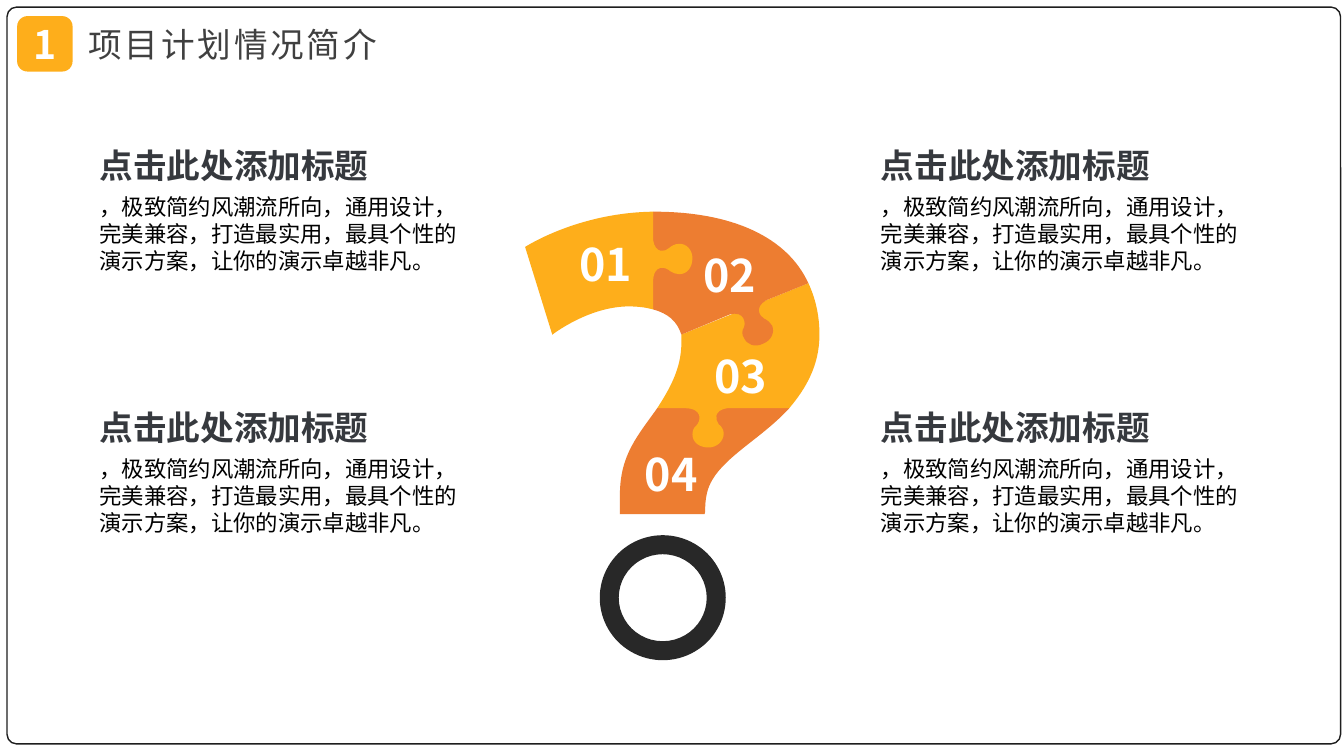
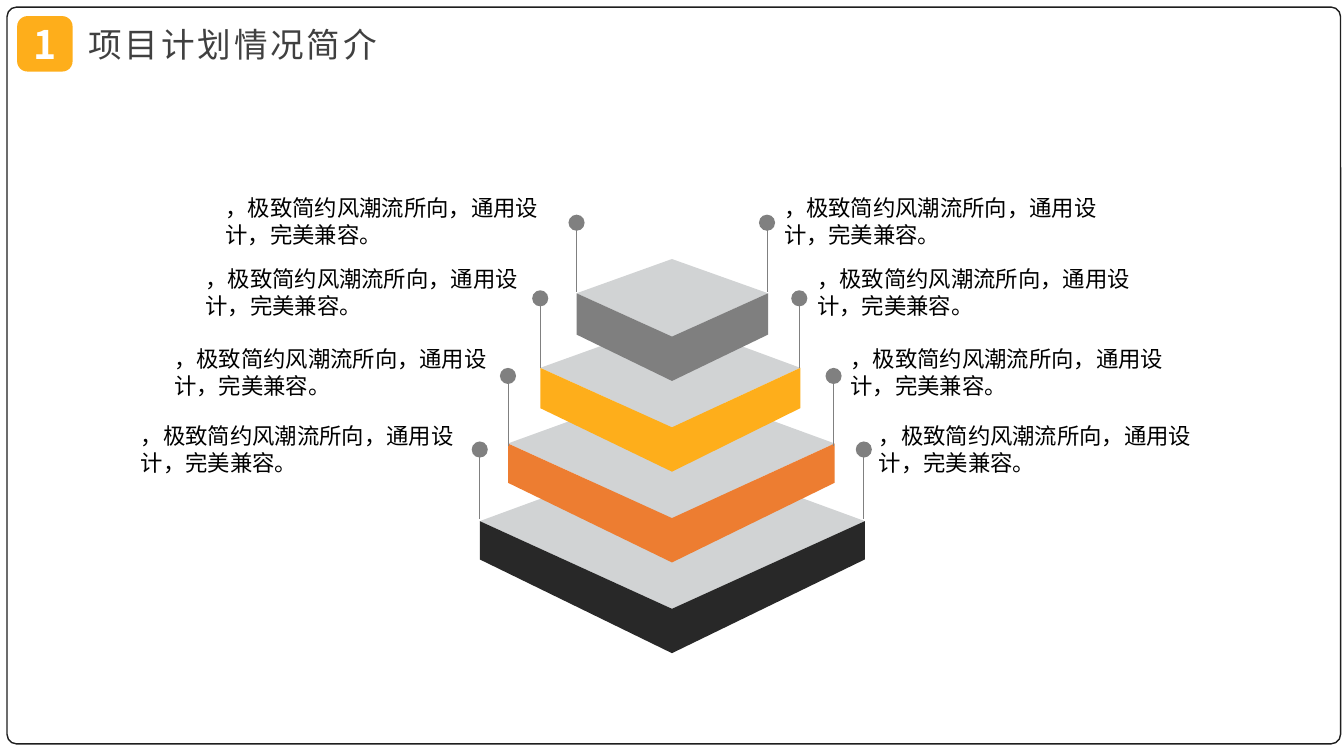
from dataclasses import dataclass
from typing import Any

import pptx
import pptx.dml.color
import pptx.enum.shapes
import pptx.enum.text
import pptx.oxml
import pptx.oxml.ns
import pptx.util
from pptx.util import Inches

COLORS = {
    "amber": "FEAE1B", "orange": "ED7D31", "black": "000000", "ink": "282828",
    "frame": "1E1E1E", "title": "404040", "heading": "36393E", "white": "FFFFFF",
    "top": "D1D3D4", "grey": "7F7F7F", "pin": "808080",
}
FONT = "Noto Sans CJK SC"
HEADING_FONT = "League Spartan"
SHAPE = pptx.enum.shapes.MSO_SHAPE
ALIGN = pptx.enum.text.PP_ALIGN
SLIDE_WIDTH, SLIDE_HEIGHT = 40 / 3, 7.5

HEADING = "点击此处添加标题"
BODY = "，极致简约风潮流所向，通用设计，完美兼容，打造最实用，最具个性的演示方案，让你的演示卓越非凡。"
SHORT_BODY = "，极致简约风潮流所向，通用设计，完美兼容。"

Point = tuple[float, float]
Segment = tuple[float, ...]


@dataclass(frozen=True)
class TextStyle:
    size: float
    color: str
    bold: bool = False
    font: str = FONT
    tracking: float = 0


@dataclass(frozen=True)
class PuzzlePiece:
    """Segments hold one point (line) or three points (curve), flattened."""
    number: str
    label_at: Point
    color: str
    start: Point
    segments: list[Segment]


@dataclass(frozen=True)
class Tier:
    color: str
    left: float
    right: float
    back: float
    middle: float
    front: float
    side_height: float
    pin_y: float
    text_lefts: Point
    text_top: float


BADGE_STYLE = TextStyle(28, "white", bold=True)
TITLE_STYLE = TextStyle(24, "title", tracking=2)
HEADING_STYLE = TextStyle(24, "heading", bold=True, font=HEADING_FONT)
BODY_STYLE = TextStyle(16, "black")
NUMBER_STYLE = TextStyle(32, "white", bold=True)

PIECES = [
    PuzzlePiece("04", (6.3, 4.38), "orange", (6.52, 4.05), [
        (6.33, 4.32, 6.15, 4.51, 6.15, 4.91), (6.15, 5.1), (6.99, 5.1),
        (7, 5.1, 6.99, 5, 7.01, 4.91), (7.07, 4.58, 7.52, 4.39, 7.83, 4.05),
    ]),
    PuzzlePiece("03", (6.99, 3.41), "amber", (8.13, 3.32), [
        (8.13, 3.13, 8.09, 2.96, 8.02, 2.81), (6.76, 3.32), (6.76, 3.4),
        (6.76, 3.65, 6.65, 3.85, 6.52, 4.05), (6.79, 4.05),
        (6.98, 4.05, 6.95, 4.18, 6.91, 4.22),
        (6.88, 4.24, 6.87, 4.28, 6.87, 4.31),
        (6.87, 4.39, 6.94, 4.44, 7.03, 4.44),
        (7.11, 4.44, 7.18, 4.38, 7.18, 4.3),
        (7.18, 4.27, 7.16, 4.23, 7.13, 4.21),
        (7.1, 4.17, 7.07, 4.07, 7.22, 4.05), (7.83, 4.05),
        (8, 3.85, 8.13, 3.62, 8.13, 3.32),
    ]),
    PuzzlePiece("02", (6.88, 2.41), "orange", (7.58, 3.16), [
        (7.54, 3.14, 7.48, 3.05, 7.6, 2.98), (8.02, 2.81),
        (7.81, 2.35, 7.26, 2.1, 6.49, 2.1), (6.48, 2.1), (6.48, 3.07),
        (6.63, 3.11, 6.72, 3.19, 6.76, 3.32), (7.24, 3.12),
        (7.39, 3.08, 7.4, 3.21, 7.38, 3.25),
        (7.36, 3.28, 7.36, 3.32, 7.38, 3.35),
        (7.41, 3.42, 7.49, 3.45, 7.57, 3.41),
        (7.65, 3.38, 7.69, 3.3, 7.66, 3.23),
        (7.64, 3.2, 7.62, 3.18, 7.58, 3.16),
    ]),
    PuzzlePiece("01", (5.65, 2.3), "amber", (6.73, 2.42), [
        (6.7, 2.42, 6.66, 2.44, 6.64, 2.46),
        (6.6, 2.5, 6.5, 2.52, 6.48, 2.38), (6.48, 2.1),
        (5.73, 2.11, 5.21, 2.45, 5.21, 2.45), (5.48, 3.32),
        (5.48, 3.32, 5.84, 3.04, 6.24, 3.04),
        (6.33, 3.04, 6.41, 3.05, 6.48, 3.07), (6.48, 2.8),
        (6.48, 2.61, 6.61, 2.65, 6.65, 2.69),
        (6.68, 2.71, 6.71, 2.72, 6.74, 2.72),
        (6.82, 2.72, 6.87, 2.65, 6.87, 2.56),
        (6.87, 2.48, 6.81, 2.41, 6.73, 2.42),
    ]),
]

TIERS = [
    Tier("ink", 4.76, 8.58, 4.47, 5.17, 6.04, 0.38, 4.46, (1.3, 8.62), 4.14),
    Tier("orange", 5.04, 8.28, 3.81, 4.4, 5.14, 0.39, 3.73, (1.63, 8.34), 3.38),
    Tier("amber", 5.36, 7.94, 3.18, 3.65, 4.24, 0.4, 2.96, (1.94, 8.01), 2.58),
    Tier("grey", 5.72, 7.62, 2.57, 2.91, 3.34, 0.41, 2.21, (2.14, 7.68), 1.88),
]
TIER_CENTER = SLIDE_WIDTH / 2
FRONT_HEIGHT = 0.44
PIN_SIZE = 0.16


# Shared drawing helpers
def rgb(name: str) -> pptx.dml.color.RGBColor:
    return pptx.dml.color.RGBColor.from_string(COLORS[name])


def paint(shape: Any, fill: str | None, line: str | None = None) -> None:
    shape.shadow.inherit = False
    if fill:
        shape.fill.solid()
        shape.fill.fore_color.rgb = rgb(fill)
    else:
        shape.fill.background()
    if line:
        shape.line.color.rgb = rgb(line)
        shape.line.width = pptx.util.Pt(1)
    else:
        shape.line.fill.background()


def write(shape: Any, text: str, style: TextStyle, align: Any = ALIGN.LEFT) -> None:
    para = shape.text_frame.paragraphs[0]
    para.alignment = align
    span = para.add_run()
    span.text = text
    span.font.size = pptx.util.Pt(style.size)
    span.font.bold = style.bold
    span.font.color.rgb = rgb(style.color)
    span.font.name = style.font
    properties = span._r.get_or_add_rPr()
    properties.append(pptx.oxml.parse_xml(
        f'<a:ea {pptx.oxml.ns.nsdecls("a")} typeface="{style.font}"/>'))
    if style.tracking:
        properties.set("spc", str(int(style.tracking * 100)))


def add_preset(page: Any, kind: Any, left: float, top: float, width: float,
               height: float, fill: str | None, line: str | None = None,
               adjust: float | None = None) -> Any:
    shape = page.shapes.add_shape(
        kind, Inches(left), Inches(top), Inches(width), Inches(height))
    if adjust is not None:
        shape.adjustments[0] = adjust
    paint(shape, fill, line)
    return shape


def add_text(page: Any, left: float, top: float, width: float, height: float,
             text: str, style: TextStyle, wrap: bool = True) -> None:
    box = page.shapes.add_textbox(
        Inches(left), Inches(top), Inches(width), Inches(height))
    box.text_frame.word_wrap = wrap
    write(box, text, style)


def add_outline(page: Any, start: Point, segments: list[Segment], fill: str) -> None:
    """Draw a closed outline of lines and cubic curves."""
    builder = page.shapes.build_freeform(Inches(start[0]), Inches(start[1]))
    builder.add_line_segments(
        [(Inches(part[-2]), Inches(part[-1])) for part in segments], close=True)
    shape = builder.convert_to_shape()
    sides = list(shape._element.iter(pptx.oxml.ns.qn("a:lnTo")))
    for side, part in zip(sides, segments):
        if len(part) == 6:
            points = "".join(
                f'<a:pt x="{Inches(x) - shape.left}" y="{Inches(y) - shape.top}"/>'
                for x, y in zip(part[::2], part[1::2]))
            curve = pptx.oxml.parse_xml(
                f'<a:cubicBezTo {pptx.oxml.ns.nsdecls("a")}>{points}</a:cubicBezTo>')
            side.getparent().replace(side, curve)
    paint(shape, fill)


def add_page(deck: Any) -> Any:
    """Blank page with the number badge, title and outer frame."""
    page = deck.slides.add_slide(deck.slide_layouts[6])
    badge = add_preset(page, SHAPE.ROUNDED_RECTANGLE, 0.17, 0.16, 0.55, 0.55,
                       "amber", adjust=0.186)
    frame = badge.text_frame
    frame.margin_left = frame.margin_right = frame.margin_top = frame.margin_bottom = 0
    write(badge, "1", BADGE_STYLE, ALIGN.CENTER)
    title = add_preset(page, SHAPE.ROUNDED_RECTANGLE, 0.73, 0.16, 3.16, 0.55,
                       None, adjust=0.091)
    write(title, "项目计划情况简介", TITLE_STYLE, ALIGN.CENTER)
    add_preset(page, SHAPE.ROUNDED_RECTANGLE, 0.07, 0.07, 13.23, 7.31,
               None, "frame", 0.013)
    return page


# Slide 1: puzzle question mark
def add_question_page(deck: Any) -> None:
    page = add_page(deck)
    for piece in PIECES:
        add_outline(page, piece.start, piece.segments, piece.color)
    add_preset(page, SHAPE.DONUT, 5.95, 5.31, 1.25, 1.24, "ink", adjust=0.152)
    for piece in reversed(PIECES):
        add_text(page, *piece.label_at, 0.76, 0.64, piece.number, NUMBER_STYLE, wrap=False)
    for left in (8.64, 0.89):
        for top in (1.39, 3.99):
            add_text(page, left, top + 0.48, 3.79, 0.91, BODY, BODY_STYLE)
            add_text(page, left, top, 2.89, 0.5, HEADING, HEADING_STYLE, wrap=False)


# Slide 2: stacked tiers with pins
def add_pin(page: Any, x: float, y: float) -> None:
    stem = page.shapes.add_connector(
        pptx.enum.shapes.MSO_CONNECTOR.STRAIGHT,
        Inches(x), Inches(y + 0.04), Inches(x), Inches(y + 0.69))
    stem.line.color.rgb = rgb("pin")
    stem.line.width = pptx.util.Pt(0.5)
    stem._element.spPr.append(pptx.oxml.parse_xml(
        f'<a:effectLst {pptx.oxml.ns.nsdecls("a")}/>'))
    add_preset(page, SHAPE.OVAL, x - PIN_SIZE / 2, y - PIN_SIZE / 2,
               PIN_SIZE, PIN_SIZE, "pin")


def add_tier(page: Any, tier: Tier) -> None:
    front = (TIER_CENTER, tier.front)
    add_outline(page, (tier.left, tier.middle), [
        (TIER_CENTER, tier.back), (tier.right, tier.middle), front], "top")
    for side in (tier.left, tier.right):
        add_outline(page, front, [
            (TIER_CENTER, tier.front + FRONT_HEIGHT),
            (side, tier.middle + tier.side_height), (side, tier.middle)], tier.color)
    for x in (tier.left, tier.right - 0.01):
        add_pin(page, x, tier.pin_y)
    for text_left in tier.text_lefts:
        add_text(page, text_left, tier.text_top, 3.34, 0.64, SHORT_BODY, BODY_STYLE)


def add_tiers_page(deck: Any) -> None:
    page = add_page(deck)
    for tier in TIERS:
        add_tier(page, tier)


def main() -> None:
    deck = pptx.Presentation()
    deck.slide_width, deck.slide_height = Inches(SLIDE_WIDTH), Inches(SLIDE_HEIGHT)
    add_question_page(deck)
    add_tiers_page(deck)
    deck.save("out.pptx")


if __name__ == "__main__":
    main()
